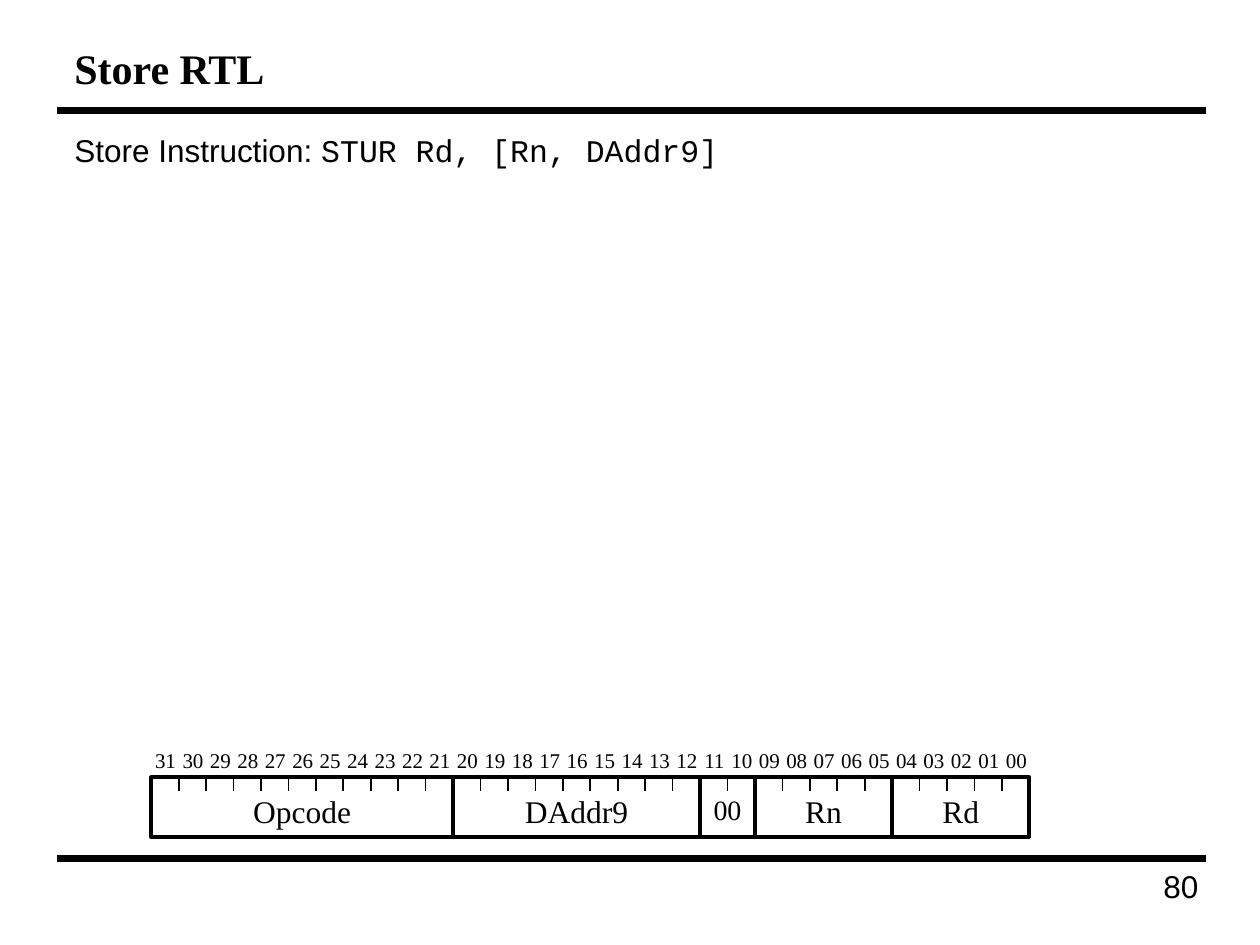
from pptx import Presentation
from pptx.dml.color import RGBColor
from pptx.enum.shapes import MSO_CONNECTOR, MSO_SHAPE
from pptx.enum.text import MSO_ANCHOR, MSO_AUTO_SIZE, PP_ALIGN
from pptx.oxml.ns import qn
from pptx.util import Inches, Pt

STRAIGHT, RECTANGLE = MSO_CONNECTOR.STRAIGHT, MSO_SHAPE.RECTANGLE
LEFT, CENTER, RIGHT = PP_ALIGN.LEFT, PP_ALIGN.CENTER, PP_ALIGN.RIGHT
TOP, MIDDLE = MSO_ANCHOR.TOP, MSO_ANCHOR.MIDDLE
NO_AUTOFIT = MSO_AUTO_SIZE.NONE

SERIF, SANS, MONO = "Times New Roman", "Arial", "Courier New"
BLACK, WHITE = "000000", "FFFFFF"

BITS = 32
WORD_LEFT, WORD_TOP, WORD_WIDTH, WORD_HEIGHT = 1.2, 6.17, 6.97, 0.47
BIT_WIDTH = WORD_WIDTH / BITS
TICK_HEIGHT = 0.11
# name, number of bits, text size
FIELDS = [("Opcode", 11, 18), ("DAddr9", 9, 18), ("00", 2, 16),
          ("Rn", 5, 18), ("Rd", 5, 18)]


def rgb(color):
    return RGBColor.from_string(color)


def set_font(font, name, size, bold=False):
    font.name = name
    font.size = Pt(size)
    font.bold = bold
    font.color.rgb = rgb(BLACK)


def place(s, left, top, width, height):
    s.left, s.top = Inches(left), Inches(top)
    s.width, s.height = Inches(width), Inches(height)


def add_line(shapes, x1, y1, x2, y2, weight):
    line = shapes.add_connector(STRAIGHT, Inches(x1), Inches(y1),
                                Inches(x2), Inches(y2))
    line.line.color.rgb = rgb(BLACK)
    line.line.width = Pt(weight)
    sp_pr = line._element.spPr
    sp_pr.append(sp_pr.makeelement(qn("a:effectLst"), {}))


def add_text(shapes, text, left, top, width, height, font, size,
             align=CENTER, wrap=True):
    box = shapes.add_textbox(Inches(left), Inches(top),
                             Inches(width), Inches(height))
    tf = box.text_frame
    tf.word_wrap = wrap
    p = tf.paragraphs[0]
    p.text = text
    p.alignment = align
    set_font(p.font, font, size)


def fill_title(title, text):
    place(title, 0.49, 0.25, 9.04, 0.58)
    tf = title.text_frame
    tf.auto_size = NO_AUTOFIT
    tf.vertical_anchor = MIDDLE
    p = tf.paragraphs[0]
    p.text = text
    p.alignment = LEFT
    set_font(p.font, SERIF, 24, bold=True)


def fill_body(body, runs):
    place(body, 0.49, 0.99, 9.04, 5.76)
    tf = body.text_frame
    tf.auto_size = NO_AUTOFIT
    tf.vertical_anchor = TOP
    p = tf.paragraphs[0]
    p_pr = p._p.get_or_add_pPr()
    p_pr.set("marL", str(Inches(0.37)))
    p_pr.set("indent", str(Inches(-0.37)))
    p_pr.append(p_pr.makeelement(qn("a:buNone"), {}))
    p.space_before = Pt(0)
    for text, font in runs:
        r = p.add_run()
        r.text = text
        set_font(r.font, font, 18)


def add_instruction_format(shapes):
    """Draw the instruction word with its bit numbers, ticks and fields."""
    frame = shapes.add_shape(RECTANGLE, Inches(WORD_LEFT), Inches(WORD_TOP),
                             Inches(WORD_WIDTH), Inches(WORD_HEIGHT))
    frame.shadow.inherit = False
    frame.fill.solid()
    frame.fill.fore_color.rgb = rgb(WHITE)
    frame.line.color.rgb = rgb(BLACK)
    frame.line.width = Pt(2.25)

    for i in range(BITS + 1):
        x = WORD_LEFT + i * BIT_WIDTH
        add_line(shapes, x, WORD_TOP, x, WORD_TOP + TICK_HEIGHT, 1)
    for i in range(BITS):
        center = WORD_LEFT + (i + 0.5) * BIT_WIDTH
        add_text(shapes, f"{BITS - 1 - i:02d}", center - 0.18, 5.88,
                 0.37, 0.3, SERIF, 12, wrap=False)

    x = WORD_LEFT
    for name, bits, size in FIELDS:
        if x > WORD_LEFT:
            add_line(shapes, x, WORD_TOP, x, WORD_TOP + WORD_HEIGHT, 2.25)
        width = bits * BIT_WIDTH
        add_text(shapes, name, x, 6.24, width, 0.4, SERIF, size)
        x += width


def main():
    prs = Presentation()
    prs.slide_width, prs.slide_height = Inches(10), Inches(7.5)
    slide = prs.slides.add_slide(prs.slide_layouts[1])
    for y in (0.88, 6.81):
        add_line(slide.shapes, 0.45, y, 9.57, y, 4)
    add_text(slide.shapes, "80", 7.56, 6.83, 2.05, 0.49, SANS, 18, RIGHT)
    fill_title(slide.shapes.title, "Store RTL")
    fill_body(slide.placeholders[1], [("Store Instruction: ", SANS),
                                      ("STUR Rd, [Rn, DAddr9]", MONO)])
    add_instruction_format(slide.shapes.add_group_shape().shapes)
    prs.save("out.pptx")


if __name__ == "__main__":
    main()
